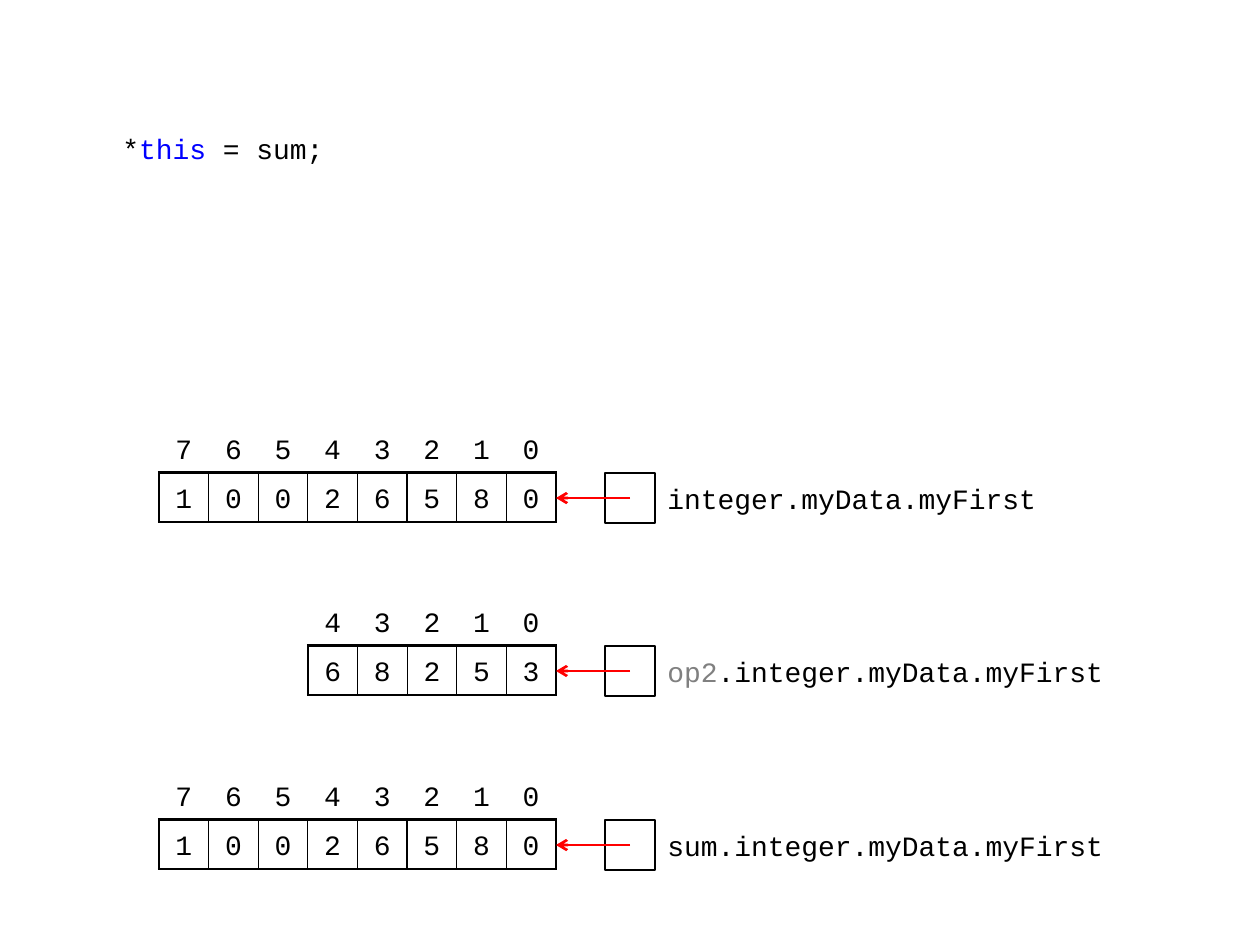
from lxml.etree import SubElement
from pptx import Presentation
from pptx.dml.color import RGBColor
from pptx.enum.shapes import MSO_CONNECTOR as Connector, MSO_SHAPE as Shape
from pptx.enum.text import MSO_ANCHOR as Anchor, PP_ALIGN as Align
from pptx.oxml.ns import qn
from pptx.util import Emu, Pt

SCALE = 914400 / 126
BLACK, WHITE, RED, BLUE, GRAY = "000000", "FFFFFF", "FF0000", "0000FF", "808080"
CELL, FULL_WIDTH, FULL_COUNT = 50, 397, 8
NO_STYLE = "{2D5ABB26-0587-4C30-8999-92F81FD0307C}"

# Top, digits and label runs of each number
NUMBERS = [
    (423, "10026580", [("integer.myData.myFirst", BLACK)]),
    (596, "68253", [("op2", GRAY), (".integer.myData.myFirst", BLACK)]),
    (770, "10026580", [("sum.integer.myData.myFirst", BLACK)]),
]


def px(length):
    return Emu(round(length * SCALE))


def color(value):
    return RGBColor.from_string(value)


def set_font(font):
    font.name = "Courier New"
    font.size = Pt(16)
    font.color.rgb = color(BLACK)


def add_code(slide, box, runs, anchor, vertical_inset):
    shape = slide.shapes.add_textbox(*map(px, box))
    frame = shape.text_frame
    frame.word_wrap = True
    frame.vertical_anchor = anchor
    frame.margin_top = frame.margin_bottom = px(vertical_inset)
    paragraph = frame.paragraphs[0]
    set_font(paragraph.font)
    for text, run_color in runs:
        run = paragraph.add_run()
        run.text = text
        set_font(run.font)
        run.font.color.rgb = color(run_color)


def set_borders(cell, widths):
    """Widths in points by side; a side of width 0 has no line."""
    properties = cell._tc.get_or_add_tcPr()
    for side, width in zip("LRTB", widths):
        line = SubElement(properties, qn(f"a:ln{side}"), w=str(Pt(width)))
        if width:
            fill = SubElement(line, qn("a:solidFill"))
            SubElement(fill, qn("a:srgbClr"), val=BLACK)
        else:
            SubElement(line, qn("a:noFill"))


def fill_cell(cell, text, side_inset, borders):
    cell.margin_left = cell.margin_right = px(side_inset)
    cell.margin_top = cell.margin_bottom = px(3)
    cell.vertical_anchor = Anchor.MIDDLE
    paragraph = cell.text_frame.paragraphs[0]
    paragraph.text = text
    paragraph.alignment = Align.CENTER
    paragraph.line_spacing = 1.25
    set_font(paragraph.font)
    set_borders(cell, borders)
    cell.fill.background()


def add_digits(slide, right, top, digits):
    count = len(digits)
    width = FULL_WIDTH * count // FULL_COUNT
    frame = slide.shapes.add_table(
        2, count, px(right - width), px(top), px(width), px(99))
    table = frame.table
    table.first_row = table.horz_banding = False
    table._tbl.tblPr.find(qn("a:tableStyleId")).text = NO_STYLE
    for column in table.columns:
        column.width = px(width) // count
    for index, digit in enumerate(digits):
        left_line = 1.5 if index == 0 else 0.75
        right_line = 1.5 if index == count - 1 else 0.75
        fill_cell(table.cell(0, index), str(count - 1 - index), 13, (0, 0, 0, 1.5))
        fill_cell(table.cell(1, index), digit, 5, (left_line, right_line, 1.5, 1.5))


def add_pointer(slide, left, top, target):
    box = slide.shapes.add_shape(Shape.RECTANGLE, *map(px, (left, top, CELL, CELL)))
    box.shadow.inherit = False
    box.fill.solid()
    box.fill.fore_color.rgb = color(WHITE)
    box.line.color.rgb = color(BLACK)
    box.line.width = Pt(1.5)

    middle = px(top + CELL // 2)
    arrow = slide.shapes.add_connector(
        Connector.STRAIGHT, px(left + CELL // 2), middle, px(target), middle)
    arrow.line.color.rgb = color(RED)
    arrow.line.width = Pt(1.5)
    SubElement(arrow.line._get_or_add_ln(), qn("a:tailEnd"), type="arrow")
    SubElement(arrow._element.spPr, qn("a:effectLst"))


def add_number(slide, left, top, digits, label):
    digits_right, pointer_left = left + FULL_WIDTH, left + 446
    box_top = top + CELL
    add_digits(slide, digits_right, top, digits)
    add_pointer(slide, pointer_left, box_top, digits_right)
    add_code(slide, (pointer_left + CELL, box_top, 471, CELL), label, Anchor.MIDDLE, 0)


def main():
    presentation = Presentation()
    presentation.slide_width, presentation.slide_height = px(1260), px(945)
    slide = presentation.slides.add_slide(presentation.slide_layouts[6])

    # Statement
    statement = [("*", BLACK), ("this", BLUE), (" = sum;", BLACK)]
    add_code(slide, (110, 126, 1042, 123), statement, Anchor.TOP, 6)

    # Numbers with their pointers
    for top, digits, label in NUMBERS:
        add_number(slide, 159, top, digits, label)

    presentation.save("out.pptx")


if __name__ == "__main__":
    main()
